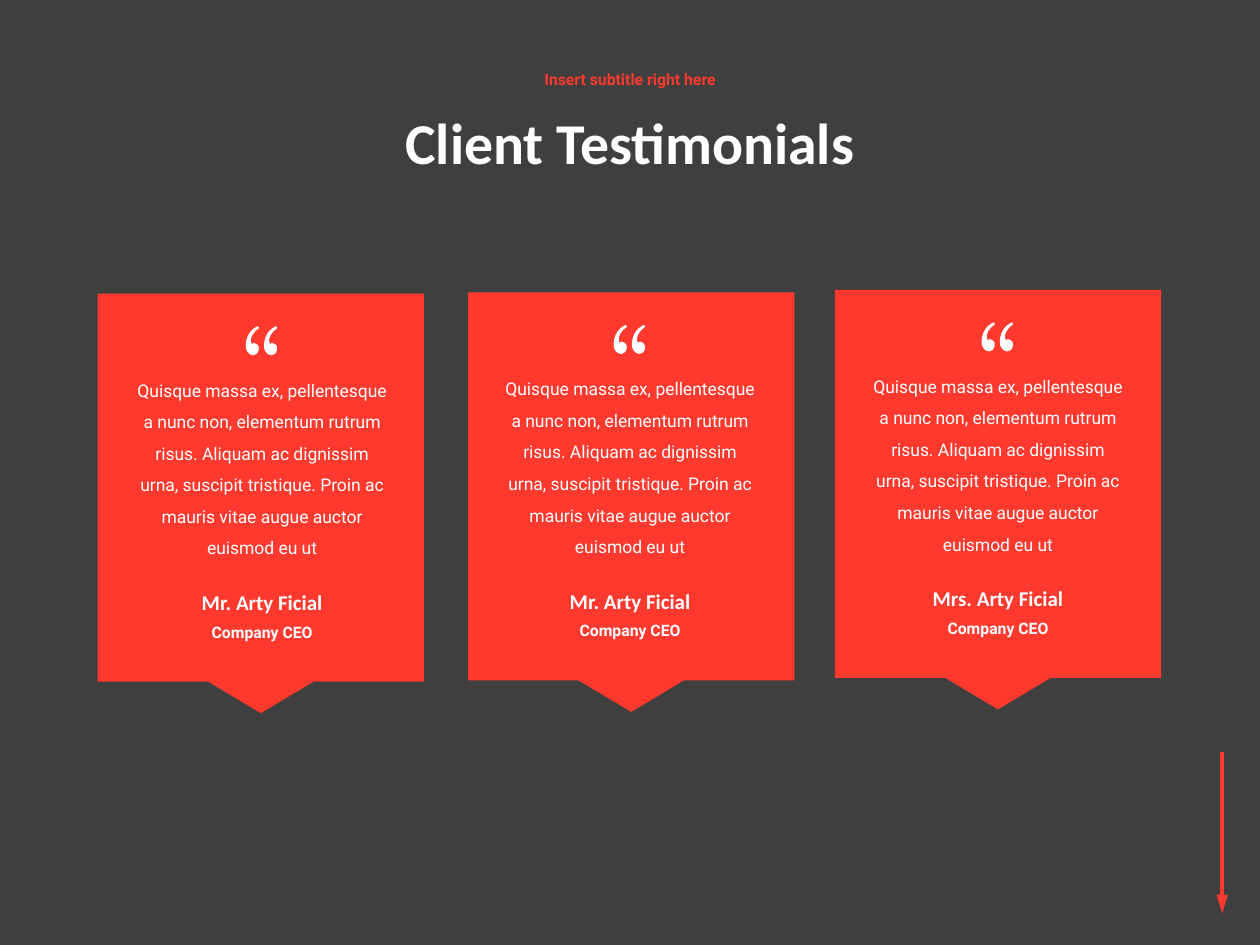
from dataclasses import dataclass

from lxml.etree import SubElement
from pptx import Presentation
from pptx.dml.color import RGBColor
from pptx.enum.shapes import MSO_CONNECTOR, MSO_SHAPE
from pptx.enum.text import MSO_ANCHOR, MSO_AUTO_SIZE, PP_ALIGN
from pptx.oxml.ns import qn
from pptx.util import Inches, Pt

BACKGROUND = RGBColor(0x3F, 0x3F, 0x3F)
RED = RGBColor(0xFF, 0x39, 0x2E)
WHITE = RGBColor(0xFF, 0xFF, 0xFF)
HEADING_FONT, BODY_FONT = "Calibri", "Roboto"

SLIDE_WIDTH, SLIDE_HEIGHT = 10, 7.5
MIDDLE = SLIDE_WIDTH / 2
COLUMN_PITCH = 2.92
CARD_WIDTH, CARD_HEIGHT = 2.59, 3.08
POINTER_WIDTH, POINTER_HEIGHT = 0.87, 0.26
QUOTE_WIDTH = 0.26
UNITS_PER_INCH = 1000

# Outline of one quote mark and the step to the next, in thousandths of an inch
QUOTE_PITCH = 145
QUOTE_OUTLINE = [
    (105, 15), (75, 40), (53, 70), (42, 100), (42, 125), (47, 140),
    (65, 132), (90, 142), (103, 160), (105, 180), (98, 205), (85, 220),
    (60, 230), (35, 223), (15, 205), (3, 180), (0, 150), (4, 115),
    (15, 80), (32, 50), (55, 25), (80, 7), (95, 0), (103, 5),
]

QUOTATION = (
    "Quisque massa ex, pellentesque a nunc non, elementum rutrum risus. "
    "Aliquam ac dignissim urna, suscipit tristique. Proin ac mauris vitae "
    "augue auctor euismod eu ut"
)


@dataclass
class Testimonial:
    person: str
    card_center: float
    top: float


TESTIMONIALS = [
    Testimonial("Mr. Arty Ficial", 2.07, 2.33),
    Testimonial("Mr. Arty Ficial", 5.01, 2.32),
    Testimonial("Mrs. Arty Ficial", 7.92, 2.3),
]


def place_centered(shape, center, top, width, height):
    shape.left, shape.top = Inches(center - width / 2), Inches(top)
    shape.width, shape.height = Inches(width), Inches(height)


def paint(shape, color):
    shape.shadow.inherit = False
    shape.fill.solid()
    shape.fill.fore_color.rgb = color
    shape.line.fill.background()


def write(text_frame, text, font_name, size, color=WHITE, bold=True, spacing=1):
    text_frame.word_wrap = True
    paragraph = text_frame.paragraphs[0]
    paragraph.text = text
    paragraph.alignment = PP_ALIGN.CENTER
    paragraph.line_spacing = spacing
    paragraph.space_before = Pt(0)
    font = paragraph.font
    font.name, font.size, font.bold = font_name, Pt(size), bold
    font.color.rgb = color


def fill_placeholder(shape, top, height, text, font_name, size, color):
    place_centered(shape, MIDDLE, top, 5.63, height)
    write(shape.text_frame, text, font_name, size, color, spacing=0.9)
    shape.text_frame.vertical_anchor = MSO_ANCHOR.MIDDLE
    shape.text_frame.auto_size = MSO_AUTO_SIZE.NONE


def add_label(slide, center, top, width, height, *text_style, **options):
    shape = slide.shapes.add_textbox(0, 0, 0, 0)
    write(shape.text_frame, *text_style, **options)
    shape.text_frame.auto_size = MSO_AUTO_SIZE.SHAPE_TO_FIT_TEXT
    place_centered(shape, center, top, width, height)


def add_card(slide, center, top):
    """Add a card with a pointer below its bottom edge."""
    card = slide.shapes.add_shape(MSO_SHAPE.RECTANGLE, 0, 0, 0, 0)
    place_centered(card, center, top, CARD_WIDTH, CARD_HEIGHT)
    pointer = slide.shapes.add_shape(MSO_SHAPE.ISOSCELES_TRIANGLE, 0, 0, 0, 0)
    place_centered(pointer, center, top + CARD_HEIGHT - 0.01,
                   POINTER_WIDTH, POINTER_HEIGHT)
    pointer.rotation = 180
    for shape in (card, pointer):
        paint(shape, RED)


def add_quote_marks(slide, center, top):
    first, second = [
        [(shift + x, y) for x, y in QUOTE_OUTLINE] for shift in (0, QUOTE_PITCH)
    ]
    builder = slide.shapes.build_freeform(
        *first[0], scale=Inches(1) / UNITS_PER_INCH
    )
    builder.add_line_segments(first[1:])
    builder.move_to(*second[0])
    builder.add_line_segments(second[1:])
    marks = builder.convert_to_shape(Inches(center - QUOTE_WIDTH / 2), Inches(top))
    paint(marks, WHITE)


def add_testimonial(slide, column, testimonial):
    center = MIDDLE + (column - 1) * COLUMN_PITCH
    top = testimonial.top
    add_card(slide, testimonial.card_center, top)
    add_quote_marks(slide, center, top + 0.26)
    add_label(slide, center, top + 0.55, 2.2, 1.86,
              QUOTATION, BODY_FONT, 10, bold=False, spacing=1.5)
    add_label(slide, center, top + 2.3, 2.19, 0.3,
              testimonial.person, HEADING_FONT, 12)
    add_label(slide, center, top + 2.56, 1.49, 0.25,
              "Company CEO", BODY_FONT, 9)


def add_down_arrow(slide, x, top, bottom):
    arrow = slide.shapes.add_connector(
        MSO_CONNECTOR.STRAIGHT, Inches(x), Inches(top), Inches(x), Inches(bottom)
    )
    arrow.line.color.rgb = RED
    arrow.line.width = Inches(0.03)
    SubElement(arrow.line._get_or_add_ln(), qn("a:tailEnd"),
               type="triangle", w="med", len="lg")
    SubElement(arrow._element.spPr, qn("a:effectLst"))


def main():
    presentation = Presentation()
    presentation.slide_width = Inches(SLIDE_WIDTH)
    presentation.slide_height = Inches(SLIDE_HEIGHT)
    slide = presentation.slides.add_slide(presentation.slide_layouts[0])
    slide.background.fill.solid()
    slide.background.fill.fore_color.rgb = BACKGROUND

    fill_placeholder(slide.shapes.title, 0.64, 1.03,
                     "Client Testimonials", HEADING_FONT, 33, WHITE)
    fill_placeholder(slide.placeholders[1], 0.45, 0.38,
                     "Insert subtitle right here", BODY_FONT, 9, RED)
    for column, testimonial in enumerate(TESTIMONIALS):
        add_testimonial(slide, column, testimonial)
    add_down_arrow(slide, 9.7, 5.97, 7.25)
    presentation.save("out.pptx")


if __name__ == "__main__":
    main()
